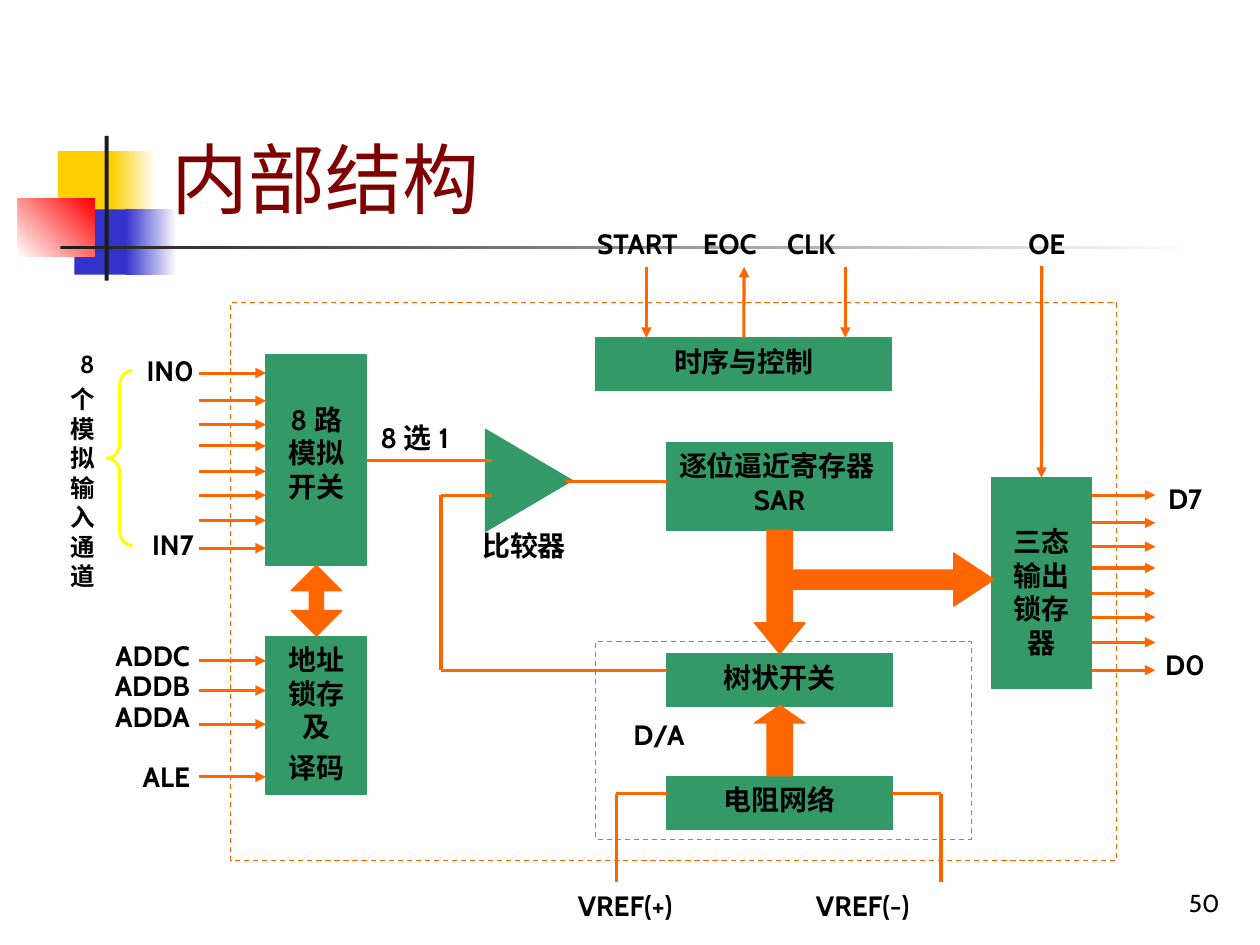
"""Build the slide on the inner structure of an eight-channel A/D converter."""
import pptx
import pptx.util
import pptx.dml.color
import pptx.enum.dml
import pptx.enum.shapes
import pptx.enum.text
import pptx.oxml

Cm, Pt = pptx.util.Cm, pptx.util.Pt
RGBColor = pptx.dml.color.RGBColor
Kind = pptx.enum.shapes.MSO_SHAPE
Side = pptx.enum.text.PP_ALIGN
Hold = pptx.enum.text.MSO_ANCHOR

BLACK = RGBColor(0x00, 0x00, 0x00)
WHITE = RGBColor(0xFF, 0xFF, 0xFF)
INK = RGBColor(0x1C, 0x1C, 0x1C)
GOLD = RGBColor(0xFF, 0xCF, 0x01)
BLUE = RGBColor(0x33, 0x33, 0xCC)
RED = RGBColor(0xFF, 0x00, 0x00)
MAROON = RGBColor(0x80, 0x00, 0x00)
GREEN = RGBColor(0x33, 0x99, 0x66)
ORANGE = RGBColor(0xFF, 0x66, 0x00)
YELLOW = RGBColor(0xFF, 0xFF, 0x00)

deck = pptx.Presentation()
deck.slide_width, deck.slide_height = Cm(25.4), Cm(19.05)
slide = deck.slides.add_slide(deck.slide_layouts[6])
shapes = slide.shapes


def draw(kind, place, fill=None, line=None, width=0.75):
    shape = shapes.add_shape(kind, *map(Cm, place))
    shape.shadow.inherit = False
    if fill is None:
        shape.fill.background()
    else:
        shape.fill.solid()
        shape.fill.fore_color.rgb = fill
    if line is None:
        shape.line.fill.background()
    else:
        shape.line.color.rgb = line
        shape.line.width = Pt(width)
    return shape


def write(shape, lines, align, size=16, gap=4, color=BLACK, bold=True):
    frame = shape.text_frame
    frame.word_wrap = True
    frame.text = "\n".join(lines)
    for rank, para in enumerate(frame.paragraphs):
        para.alignment = align
        if rank:
            para.space_before = Pt(gap)
        para.font.name = "Cabin"
        para.font.size = Pt(size)
        para.font.bold = bold
        para.font.color.rgb = color
    return frame


for place, first, last, angle in [
    ((1.17, 3.05, 1.22, 1.32), GOLD, None, 0),
    ((2.24, 3.05, 0.91, 1.32), GOLD, WHITE, 0),
    ((1.5, 4.22, 1.17, 1.32), BLUE, None, 0),
    ((2.54, 4.22, 1.02, 1.32), BLUE, WHITE, 0),
    ((0.36, 4.01, 1.55, 1.17), WHITE, RED, 45),
    ((2.11, 2.74, 0.08, 2.92), INK, None, 0),
    ((1.22, 4.95, 22.86, 0.08), INK, WHITE, 0),
]:
    bar = draw(Kind.RECTANGLE, place, first)
    if last is not None:
        bar.fill.gradient()
        bar.fill.gradient_angle = angle
        for stop, tint in zip(bar.fill.gradient_stops, (first, last)):
            stop.color.rgb = tint

title = shapes.add_textbox(Cm(3.2), Cm(0.58), Cm(21.64), Cm(4.06))
write(title, ["内部结构"], Side.LEFT, 44, color=MAROON, bold=False).vertical_anchor = Hold.BOTTOM
page = shapes.add_textbox(Cm(19.56), Cm(17.35), Cm(5.28), Cm(1.27))
write(page, ["50"], Side.RIGHT, 14, bold=False).vertical_anchor = Hold.BOTTOM

for place in [(4.65, 6.1, 17.86, 11.25), (12.01, 12.93, 7.57, 3.99)]:
    frame = draw(Kind.RECTANGLE, place, line=ORANGE)
    frame.line.dash_style = pptx.enum.dml.MSO_LINE.DASH

brace = draw(Kind.LEFT_BRACE, (2.16, 7.47, 0.51, 3.53), line=YELLOW, width=1.75)
brace.adjustments[0] = 0.58

blocks = {}
for name, place, lines, top in [
    ("mux", (5.36, 7.16, 2.03, 4.24), ["8路模拟开关"], 0.95),
    ("sar", (13.44, 8.92, 4.55, 1.78), ["逐位逼近寄存器SAR"], 0.13),
    ("tree", (13.44, 13.18, 4.55, 1.07), ["树状开关"], 0.13),
    ("net", (13.44, 15.65, 4.55, 1.07), ["电阻网络"], 0.13),
    ("latch", (19.99, 9.63, 2.01, 4.24), ["三态输出锁存器"], 0.95),
    ("clock", (12.01, 6.81, 5.97, 1.07), ["时序与控制"], 0.13),
    ("addr", (5.36, 12.83, 2.03, 3.18), ["地址锁存及", "译码"], 0.13),
]:
    blocks[name] = draw(Kind.RECTANGLE, place, GREEN, GREEN)
    text = write(blocks[name], lines, Side.CENTER)
    text.vertical_anchor = Hold.TOP
    text.margin_top = Cm(top)

gate = draw(Kind.ISOSCELES_TRIANGLE, (9.63, 8.81, 2.06, 1.75), GREEN, GREEN)
gate.rotation = 90

for kind, place, shaft, head in [
    (Kind.UP_ARROW, (15.21, 14.22, 1.02, 1.42), 0.5, 0.35),
    (Kind.DOWN_ARROW, (15.21, 10.69, 1.02, 2.49), 0.5, 0.61),
    (Kind.RIGHT_ARROW, (16, 11.15, 4.04, 1.07), 0.36, 0.76),
    (Kind.UP_DOWN_ARROW, (5.87, 11.4, 1.02, 1.42), 0.5, 0.28),
]:
    arrow = draw(kind, place, ORANGE, ORANGE)
    arrow.adjustments[0], arrow.adjustments[1] = shaft, head
draw(Kind.RECTANGLE, (15.7, 11.56, 1.19, 0.3), ORANGE)

plain = [
    (7.39, 9.28, 9.91, 9.28, ("mux", 3), None),
    (11.4, 9.7, 13.44, 9.7, None, None),
    (8.89, 9.98, 9.91, 9.98, None, None),
    (8.89, 9.98, 8.89, 13.51, None, None),
    (8.89, 13.51, 13.44, 13.51, None, None),
    (12.42, 16, 13.44, 16, None, None),
    (12.42, 16, 12.42, 17.78, None, None),
    (18.97, 16, 17.98, 16, None, None),
    (18.97, 16, 18.97, 17.78, None, None),
]
tipped = [
    (21, 5.36, 21, 9.63, None, ("latch", 0)),
    (13.03, 5.38, 13.03, 6.81, None, None),
    (15, 6.81, 15, 5.38, ("clock", 0), None),
    (17.04, 5.38, 17.04, 6.81, None, None),
]
for y in (13.32, 13.92, 14.6, 15.66):
    tipped.append((4.01, y, 5.36, y, None, None))
for step in (0, 0.56, 1.04, 1.47, 1.98, 2.46, 2.97, 3.53):
    for left, right, top in [(4.01, 5.36, 7.52), (22.02, 23.29, 9.98)]:
        tipped.append((left, top + step, right, top + step, None, None))

for tip, wires in [(False, plain), (True, tipped)]:
    for *ends, start, stop in wires:
        wire = shapes.add_connector(pptx.enum.shapes.MSO_CONNECTOR.STRAIGHT, *map(Cm, ends))
        wire.line.color.rgb = ORANGE
        wire.line.width = Pt(1.75)
        if start:
            wire.begin_connect(blocks[start[0]], start[1])
        if stop:
            wire.end_connect(blocks[stop[0]], stop[1])
        if tip:
            tail = pptx.oxml.parse_xml(
                '<a:tailEnd xmlns:a="http://schemas.openxmlformats.org/drawingml/2006/main" type="triangle"/>')
            wire.line._get_or_add_ln().append(tail)
        wire._element.spPr.append(pptx.oxml.parse_xml(
            '<a:effectLst xmlns:a="http://schemas.openxmlformats.org/drawingml/2006/main"/>'))

for place, word, align in [
    ((2.13, 7.01, 2.03, 1.07), "IN0", Side.RIGHT),
    ((2.13, 10.52, 2.03, 1.07), "IN7", Side.RIGHT),
    ((11.79, 4.45, 2.5, 1.07), "START", Side.LEFT),
    ((13.92, 4.45, 2.03, 1.07), "EOC", Side.LEFT),
    ((15.62, 4.45, 2.03, 1.07), "CLK", Side.LEFT),
    ((20.09, 4.45, 2.03, 1.07), "OE", Side.CENTER),
    ((23.09, 9.58, 1.6, 1.07), "D7", Side.CENTER),
    ((23.09, 12.93, 1.6, 1.07), "D0", Side.CENTER),
    ((11.4, 17.78, 3, 1.07), "VREF(+)", Side.LEFT),
    ((16.2, 17.78, 3, 1.07), "VREF(-)", Side.LEFT),
    ((9.47, 10.54, 2.51, 1.07), "比较器", Side.LEFT),
    ((12.52, 14.35, 2.03, 1.07), "D/A", Side.LEFT),
    ((7.42, 8.36, 2.51, 1.07), "8选1", Side.LEFT),
]:
    write(shapes.add_textbox(*map(Cm, place)), [word], align)

inputs = shapes.add_textbox(Cm(1.17), Cm(6.91), Cm(0.99), Cm(5.51))
write(inputs, ["8", "个模拟输入通道"], Side.RIGHT, 14, 3.5)
pins = shapes.add_textbox(Cm(1.57), Cm(12.83), Cm(2.51), Cm(3.56))
rows = write(pins, ["ADDC", "ADDB", "ADDA", "ALE"], Side.RIGHT, gap=0).paragraphs
for row in rows:
    row.line_spacing = 0.9
rows[-1].space_before = Pt(17)

deck.save("out.pptx")
